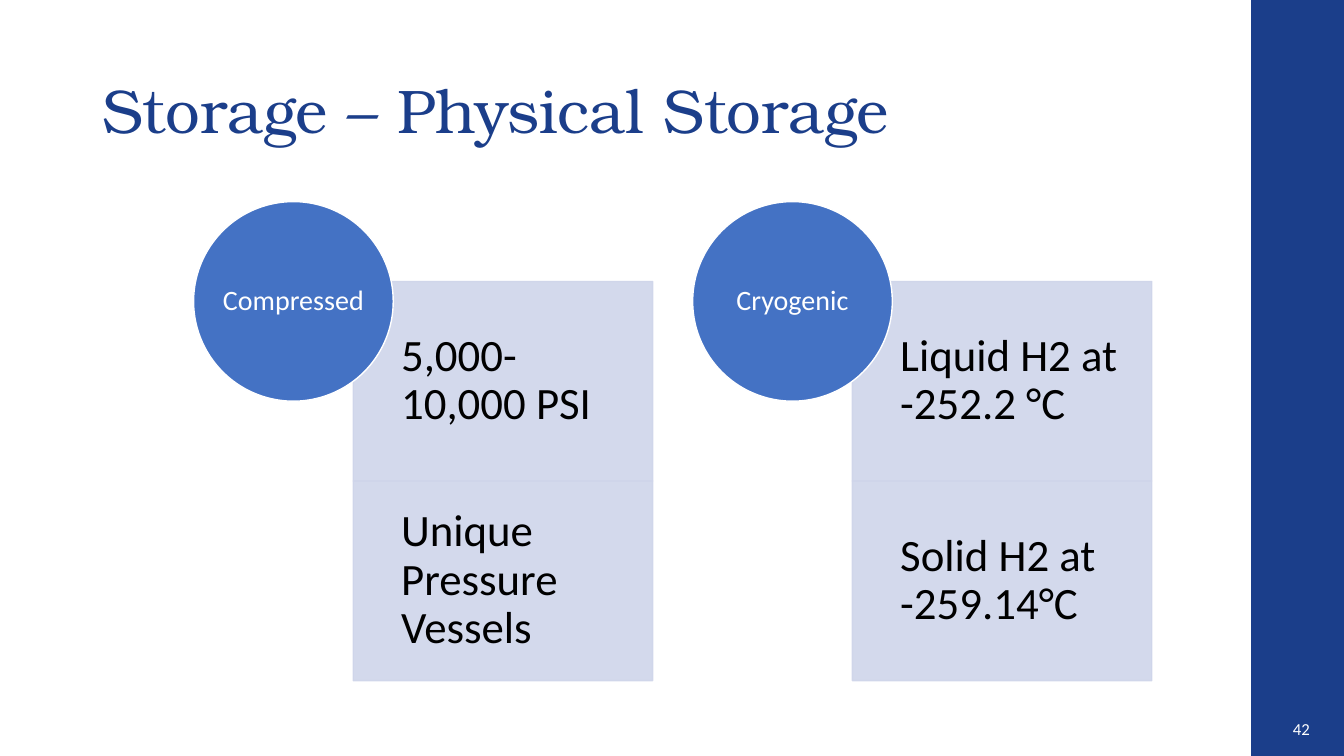
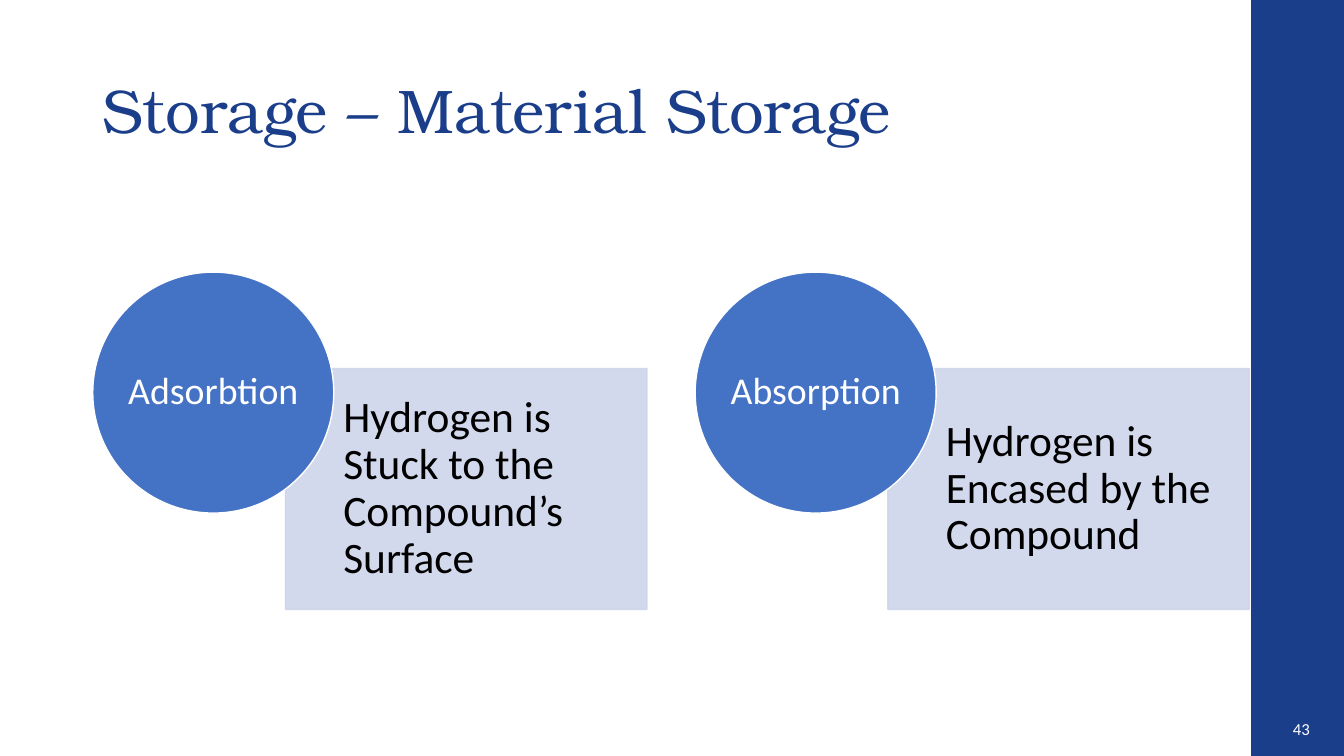
from dataclasses import dataclass

from lxml.etree import SubElement
from pptx import Presentation
from pptx.dml.color import RGBColor
from pptx.enum.shapes import MSO_SHAPE as Preset
from pptx.enum.text import MSO_ANCHOR as Anchor, MSO_AUTO_SIZE as AutoSize, PP_ALIGN as Align
from pptx.oxml.ns import qn
from pptx.util import Inches, Pt

NAVY = RGBColor(0x1B, 0x3E, 0x8A)
BLUE = RGBColor(0x44, 0x72, 0xC4)
PALE = RGBColor(0xCF, 0xD5, 0xEA)
WHITE = RGBColor(0xFF, 0xFF, 0xFF)
BLACK = RGBColor(0, 0, 0)
BODY_FONT, TITLE_FONT = "Calibri", "TeX Gyre Bonum"

WIDTH, HEIGHT = 13.33, 7.5
MARGIN = 0.92
BAND_LEFT = WIDTH - MARGIN
PALE_OPACITY = 90

# Shares of a circle's diameter
PITCH = 2.5
BOX_SHIFT_X, BOX_SHIFT_Y = 0.8, 0.4
BOX_WIDTH = 1.5
BOX_INDENT = 0.24


@dataclass(frozen=True)
class Method:
    name: str
    facts: tuple[str, ...]


@dataclass(frozen=True)
class StoragePage:
    number: int
    title: str
    left: float
    top: float
    diameter: float
    name_size: int
    fact_size: int
    methods: tuple[Method, ...]


PAGES = (
    StoragePage(42, "Storage – Physical Storage", 1.92, 2, 1.98, 20, 32, (
        Method("Compressed", ("5,000-10,000 PSI", "Unique Pressure Vessels")),
        Method("Cryogenic", ("Liquid H2 at -252.2 °C", "Solid H2 at -259.14°C")),
    )),
    StoragePage(43, "Storage – Material Storage", 0.92, 2.7, 2.39, 27, 31, (
        Method("Adsorbtion", ("Hydrogen is Stuck to the Compound’s Surface",)),
        Method("Absorption", ("Hydrogen is Encased by the Compound",)),
    )),
)


def write(frame, text: str, size: int, color: RGBColor, align: Align,
          font: str = BODY_FONT, spacing: float = 0.9) -> None:
    frame.text = text
    frame.vertical_anchor = Anchor.MIDDLE
    paragraph = frame.paragraphs[0]
    paragraph.alignment = align
    paragraph.line_spacing = spacing
    paragraph.font.size = Pt(size)
    paragraph.font.name = font
    paragraph.font.color.rgb = color


def set_insets(frame, left: float, others: float) -> None:
    frame.margin_left = Inches(left)
    frame.margin_top = frame.margin_right = frame.margin_bottom = Inches(others)


def add_filled(slide, preset: Preset, left: float, top: float, width: float,
               height: float, fill: RGBColor, outline: RGBColor | None = None):
    shape = slide.shapes.add_shape(
        preset, Inches(left), Inches(top), Inches(width), Inches(height))
    shape.shadow.inherit = False
    shape.fill.solid()
    shape.fill.fore_color.rgb = fill
    if outline is None:
        shape.line.fill.background()
    else:
        shape.line.color.rgb = outline
        shape.line.width = Pt(1)
    return shape


def make_translucent(shape, opacity: int) -> None:
    """Apply the opacity, in percent, to both fill and outline."""
    for color in shape.element.spPr.iter(qn("a:srgbClr")):
        SubElement(color, qn("a:alpha"), val=str(opacity * 1000))


def add_frame(slide, page: StoragePage) -> None:
    """Add the side band, the page number and the title."""
    add_filled(slide, Preset.RECTANGLE, BAND_LEFT, 0, MARGIN, HEIGHT, NAVY)
    number = slide.shapes.add_textbox(
        Inches(12.68), Inches(7.03), Inches(0.41), Inches(0.4)).text_frame
    number.word_wrap = True
    write(number, str(page.number), 12, WHITE, Align.RIGHT, spacing=1.0)

    title = slide.shapes.title
    title.left, title.top = Inches(MARGIN), Inches(0.4)
    title.width, title.height = Inches(BAND_LEFT - MARGIN), Inches(1.45)
    title.text_frame.auto_size = AutoSize.NONE
    write(title.text_frame, page.title, 44, NAVY, Align.LEFT, TITLE_FONT)


def add_method(slide, page: StoragePage, column: int, method: Method) -> None:
    """Add the stacked fact boxes with the named circle over their corner."""
    unit = page.diameter
    left = page.left + column * PITCH * unit
    for row, fact in enumerate(method.facts):
        box = add_filled(slide, Preset.RECTANGLE, left + BOX_SHIFT_X * unit,
                         page.top + (BOX_SHIFT_Y + row) * unit,
                         BOX_WIDTH * unit, unit, PALE, PALE)
        make_translucent(box, PALE_OPACITY)
        set_insets(box.text_frame, BOX_INDENT * unit, 0.24)
        write(box.text_frame, fact, page.fact_size, BLACK, Align.LEFT)

    circle = add_filled(slide, Preset.OVAL, left, page.top, unit, unit, BLUE, WHITE)
    set_insets(circle.text_frame, 0, 0)
    circle.text_frame.word_wrap = False
    write(circle.text_frame, method.name, page.name_size, WHITE, Align.CENTER)


def main() -> None:
    deck = Presentation()
    deck.slide_width, deck.slide_height = Inches(WIDTH), Inches(HEIGHT)
    title_only = deck.slide_layouts[5]
    for page in PAGES:
        slide = deck.slides.add_slide(title_only)
        add_frame(slide, page)
        for column, method in enumerate(page.methods):
            add_method(slide, page, column, method)
    deck.save("out.pptx")


if __name__ == "__main__":
    main()
